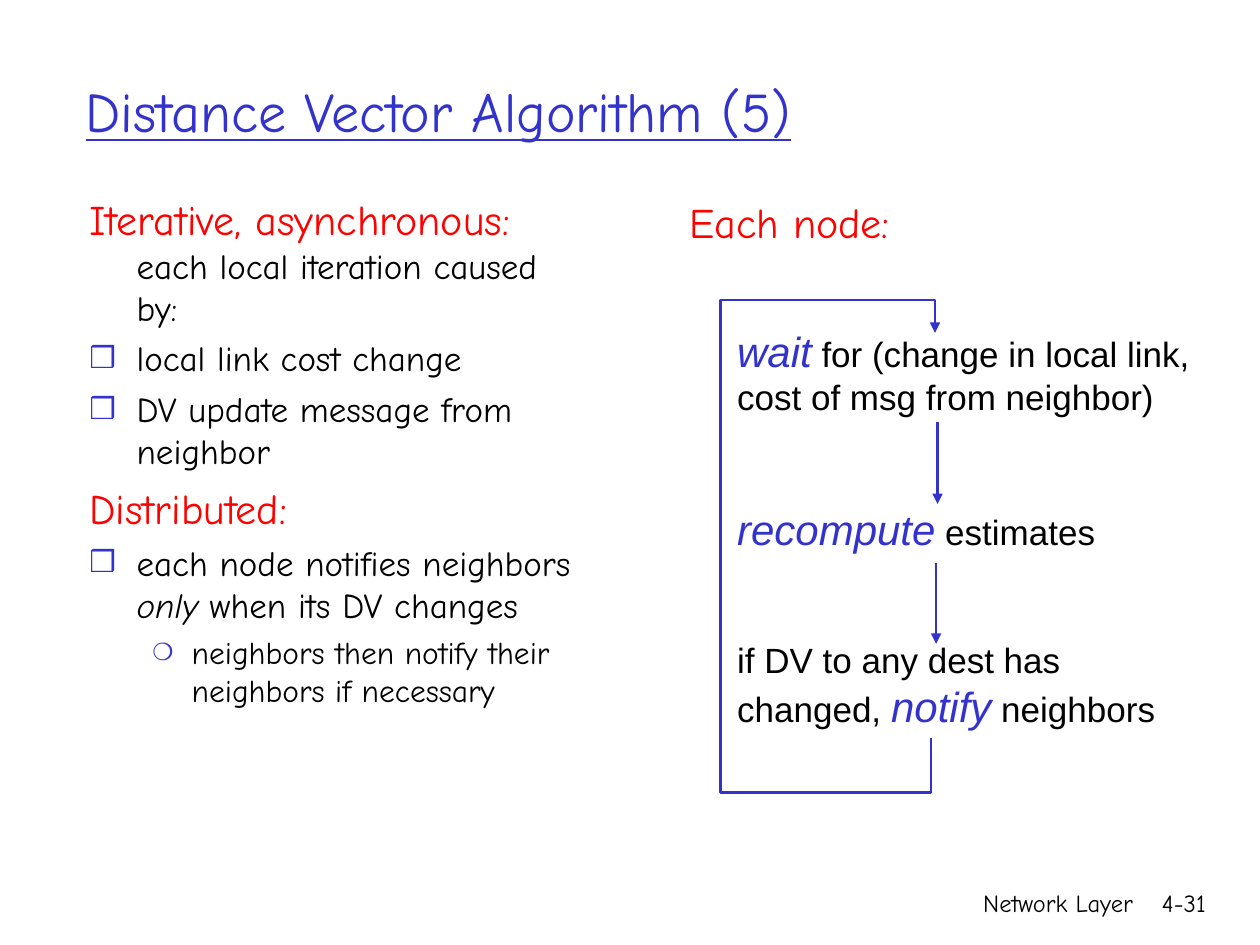
from lxml.etree import SubElement
from pptx import Presentation
from pptx.dml.color import RGBColor
from pptx.enum.shapes import MSO_CONNECTOR
from pptx.enum.text import MSO_ANCHOR, MSO_AUTO_SIZE, PP_ALIGN
from pptx.oxml.ns import qn
from pptx.util import Cm, Pt

HUES = {"blue": "3333CC", "red": "FF0000", "black": "000000"}
HAND, SANS = "Comic Neue", "Arial"
LEFT, RIGHT, MID = PP_ALIGN.LEFT, PP_ALIGN.RIGHT, PP_ALIGN.CENTER

# Content: a run is (text, size, hue, style), style "i" or "u"
TITLE = [("Distance Vector Algorithm (5)", 32, "blue", "u")]

# Body paragraphs: (kind, space before, runs)
BODY = [
    ("head", 5, [("Iterative, asynchronous: ", 24, "red", ""),
                 ("each local iteration caused by:", 20, "black", "")]),
    ("item", 5, [("local link cost change", 20, "black", "")]),
    ("item", 5, [("DV update message from neighbor", 20, "black", "")]),
    ("head", 6, [("Distributed:", 24, "red", "")]),
    ("item", 5, [("each node notifies neighbors ", 20, "black", ""),
                 ("only", 20, "black", "i"),
                 (" when its DV changes", 20, "black", "")]),
    ("sub", 4.5, [("neighbors then notify their neighbors if necessary",
                   18, "black", "")]),
]
# Kind: level, left margin, hanging indent, bullet, bullet percent
KINDS = {
    "head": (0, 0.95, 0.95, None, 0),
    "item": (0, 0.95, 0.95, "❒", 85),
    "sub": (1, 2.06, 0.79, "❍", 75),
}

# Steps of the loop: (top, runs)
STEPS = [
    (6.43, [("wait", 24, "blue", "i"),
            (" for (change in local link, cost of msg from neighbor)",
             20, "black", "")]),
    (10.03, [("recompute", 24, "blue", "i"),
             (" estimates", 20, "black", "")]),
    (12.75, [("if DV to any dest has changed, ", 20, "black", ""),
             ("notify", 24, "blue", "i"),
             (" neighbors", 20, "black", "")]),
]
# Labels: (box, alignment, wrap, runs)
LABELS = [
    ((13.64, 3.84, 4.55, 1.27), MID, False, [("Each node:", 24, "red", "")]),
    ((15.04, 17.78, 8.05, 1.27), RIGHT, True,
     [("Network Layer", 14, "black", "")]),
    ((22.68, 17.78, 1.88, 1.27), RIGHT, True, [("4-31", 14, "black", "")]),
]
# Arrows between steps: (x, top, bottom)
ARROWS = [(18.9, 8.51, 10.16), (18.87, 11.35, 12.98)]
LOOP = [(18.77, 14.88), (18.77, 15.98), (14.53, 15.98),
        (14.53, 6.05), (18.85, 6.05), (18.85, 6.71)]


def color(hue):
    return RGBColor.from_string(HUES[hue])


def write(para, runs, face=HAND, align=LEFT):
    para.alignment = align
    for text, size, hue, style in runs:
        run = para.add_run()
        run.text = text
        font = run.font
        font.name, font.size = face, Pt(size)
        font.color.rgb = color(hue)
        font.italic = style == "i"
        font.underline = style == "u"


def place(shape, box):
    shape.left, shape.top, shape.width, shape.height = map(Cm, box)
    shape.text_frame.auto_size = MSO_AUTO_SIZE.NONE


def label(box, runs, face=HAND, align=LEFT, wrap=True):
    shape = slide.shapes.add_textbox(*map(Cm, box))
    shape.text_frame.word_wrap = wrap
    write(shape.text_frame.paragraphs[0], runs, face, align)


def indent(para, kind):
    level, margin, hang, mark, size = KINDS[kind]
    para.level = level
    props = para._p.get_or_add_pPr()
    props.set("marL", str(Cm(margin)))
    props.set("indent", str(-Cm(hang)))
    if mark is None:
        SubElement(props, qn("a:buNone"))
        return
    tint = SubElement(props, qn("a:buClr"))
    SubElement(tint, qn("a:srgbClr"), val=HUES["blue"])
    SubElement(props, qn("a:buSzPct"), val=str(size * 1000))
    SubElement(props, qn("a:buChar"), char=mark)


def arrow(shape):
    shape.line.color.rgb = color("blue")
    shape.line.width = Pt(1.5)
    SubElement(shape.line._get_or_add_ln(), qn("a:tailEnd"), type="triangle")


deck = Presentation()
deck.slide_width, deck.slide_height = Cm(25.4), Cm(19.05)
slide = deck.slides.add_slide(deck.slide_layouts[1])
title, body = slide.placeholders

# Title
place(title, (1.47, 0.64, 21.59, 3.18))
title.text_frame.vertical_anchor = MSO_ANCHOR.MIDDLE
write(title.text_frame.paragraphs[0], TITLE)

# Bulleted list
place(body, (1.55, 3.78, 10.52, 12.9))
frame = body.text_frame
for n, (kind, gap, runs) in enumerate(BODY):
    para = frame.add_paragraph() if n else frame.paragraphs[0]
    para.space_before = Pt(gap)
    indent(para, kind)
    write(para, runs)

# Steps, heading and footer
for top, runs in STEPS:
    label((14.61, top, 9.78, 2), runs, SANS)
for box, align, wrap, runs in LABELS:
    label(box, runs, align=align, wrap=wrap)

# Arrows down, and the loop back to the first step
for x, top, low in ARROWS:
    link = slide.shapes.add_connector(
        MSO_CONNECTOR.STRAIGHT, Cm(x), Cm(top), Cm(x), Cm(low))
    arrow(link)
    SubElement(link._element.spPr, qn("a:effectLst"))

dots = [(Cm(x), Cm(y)) for x, y in LOOP]
path = slide.shapes.build_freeform(*dots[0])
path.add_line_segments(dots[1:], close=False)
loop = path.convert_to_shape()
loop.fill.background()
arrow(loop)
loop.shadow.inherit = False

deck.save("out.pptx")
